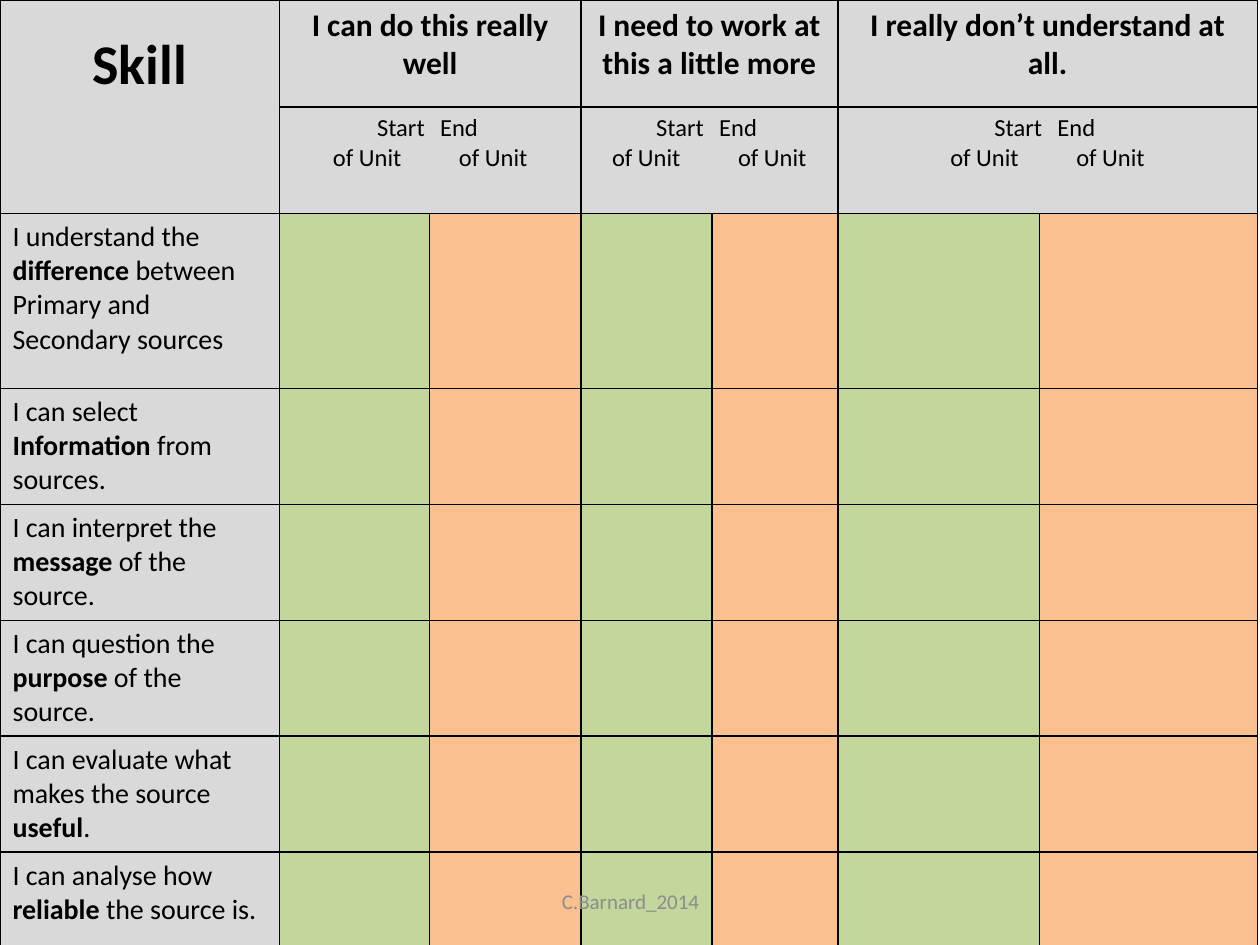
"""Build a self-assessment grid for source skills."""
from dataclasses import dataclass

from lxml import etree
from pptx import Presentation
from pptx import util as u
from pptx.dml.color import RGBColor
from pptx.enum import text
from pptx.oxml.ns import qn

COLORS = {"black": "000000", "header": "D9D9D9", "start": "C3D69B",
          "end": "FAC090", "footer": "8C8C8C"}
FONT = "Calibri"
COLUMNS = [2.22, 1.19, 1.2, 1.04, 1, 1.6, 1.73]
ROWS = [0.85, 0.55, 1.39, 0.92, 0.92, 0.92, 0.92, 1.02]
RATINGS = ["I can do this really well", "I need to work at this a little more",
           "I really don’t understand at all."]
PERIODS = ["Start \tEnd ", "of Unit\tof Unit"]
CENTER = text.PP_ALIGN.CENTER


@dataclass
class Span:
    """A stretch of text in one format."""
    words: str
    size: float
    bold: bool = False
    color: str = "black"


@dataclass
class Skill:
    """A skill statement with its key word in bold."""
    before: str
    key: str
    after: str

    def spans(self) -> list[Span]:
        """Return the statement as formatted spans."""
        return [Span(self.before, 16), Span(self.key, 16, True), Span(self.after, 16)]


SKILLS = [
    Skill("I understand the ", "difference", " between Primary and Secondary sources"),
    Skill("I can select", " Information", " from sources."),
    Skill("I can interpret the ", "message ", "of the source."),
    Skill("I can question the ", "purpose", " of the source."),
    Skill("I can evaluate what makes the source ", "useful", "."),
    Skill("I can analyse how ", "reliable", " the source is."),
]


def rgb(name: str) -> RGBColor:
    """Return a palette colour."""
    return RGBColor.from_string(COLORS[name])


def add_span(para, span: Span) -> None:
    """Add one formatted run to a paragraph."""
    run = para.add_run()
    run.text = span.words
    formats = {"name": FONT, "size": u.Pt(span.size), "bold": span.bold}
    for key, value in formats.items():
        setattr(run.font, key, value)
    run.font.color.rgb = rgb(span.color)


def write(frame, spans: list[Span], align=None) -> None:
    """Write spans into the first paragraph of a text frame."""
    para = frame.paragraphs[0]
    para.alignment = align
    for span in spans:
        add_span(para, span)


def write_periods(para) -> None:
    """Write the start and end labels on two tabbed lines."""
    para.alignment = CENTER
    add_span(para, Span(PERIODS[0], 14))
    para.add_line_break()
    etree.SubElement(para._p[-1], qn("a:rPr"), sz="1400")
    add_span(para, Span(PERIODS[1], 14))


def style_cell(cell, color: str) -> None:
    """Give a cell thin black borders and a fill."""
    properties = cell._tc.get_or_add_tcPr()
    for side in ("lnL", "lnR", "lnT", "lnB"):
        line = etree.SubElement(properties, qn(f"a:{side}"), w=str(u.Pt(1)))
        fill = etree.SubElement(line, qn("a:solidFill"))
        etree.SubElement(fill, qn("a:srgbClr"), val=COLORS["black"])
    cell.fill.solid()
    cell.fill.fore_color.rgb = rgb(color)


def add_grid(page):
    """Add the sized and coloured table."""
    grid = page.shapes.add_table(len(ROWS), len(COLUMNS), 0, 0, u.Inches(sum(COLUMNS)),
                                 u.Inches(sum(ROWS))).table
    grid.first_row = grid.horz_banding = False
    for column, width in zip(grid.columns, COLUMNS):
        column.width = u.Inches(width)
    for row, height in zip(grid.rows, ROWS):
        row.height = u.Inches(height)
    for row in range(len(ROWS)):
        for column in range(len(COLUMNS)):
            heading = row < 2 or column == 0
            color = "header" if heading else "start" if column % 2 else "end"
            style_cell(grid.cell(row, column), color)
    return grid


def fill_grid(grid) -> None:
    """Merge the headings and write all table text."""
    corner = grid.cell(0, 0)
    corner.merge(grid.cell(1, 0))
    corner.margin_top = u.Inches(0.25)
    write(corner.text_frame, [Span("Skill", 32, True)], CENTER)
    for index, rating in enumerate(RATINGS):
        left = 1 + 2 * index
        for row in range(2):
            grid.cell(row, left).merge(grid.cell(row, left + 1))
        write(grid.cell(0, left).text_frame, [Span(rating, 18, True)], CENTER)
        periods = grid.cell(1, left)
        periods.margin_bottom = u.Inches(0.32)
        write_periods(periods.text_frame.paragraphs[0])
    for row, skill in enumerate(SKILLS, start=2):
        write(grid.cell(row, 0).text_frame, skill.spans())


def add_footer(page) -> None:
    """Add the author line over the last row."""
    box = page.shapes.add_textbox(u.Inches(3.42), u.Inches(6.95), u.Inches(3.17), u.Inches(0.4))
    formats = {"word_wrap": True, "vertical_anchor": text.MSO_ANCHOR.MIDDLE}
    for key, value in formats.items():
        setattr(box.text_frame, key, value)
    write(box.text_frame, [Span("C.Barnard_2014", 12, color="footer")], CENTER)


def main() -> None:
    """Build and save the deck."""
    deck = Presentation()
    deck.slide_width, deck.slide_height = u.Inches(10), u.Inches(7.5)
    page = deck.slides.add_slide(deck.slide_layouts[6])
    fill_grid(add_grid(page))
    add_footer(page)
    deck.save("out.pptx")


if __name__ == "__main__":
    main()
